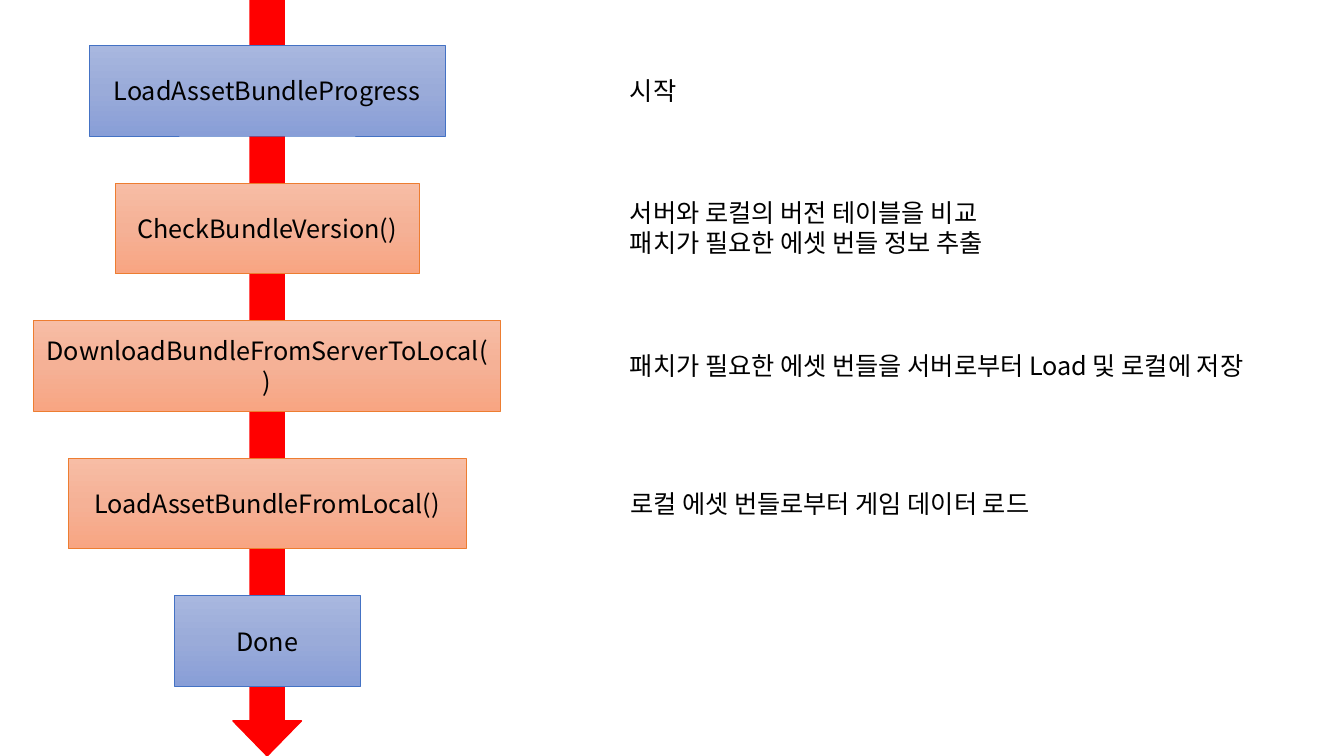
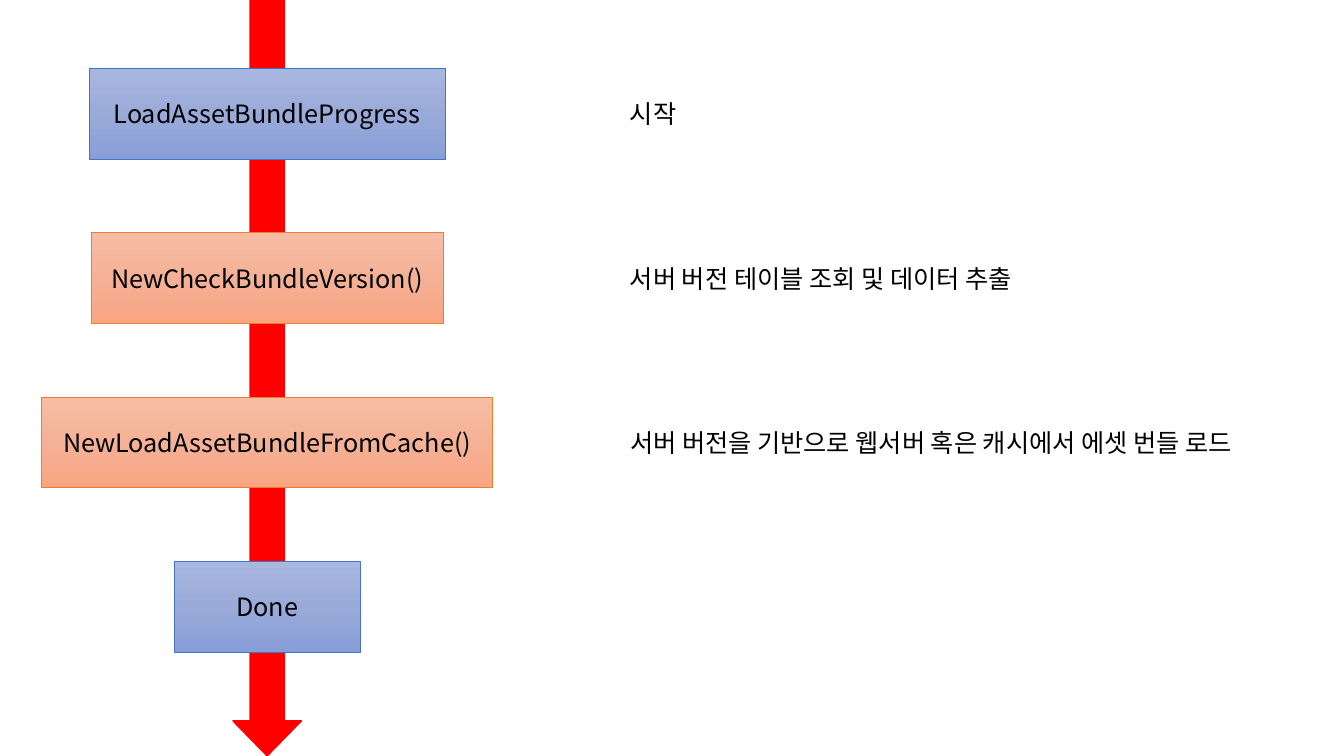
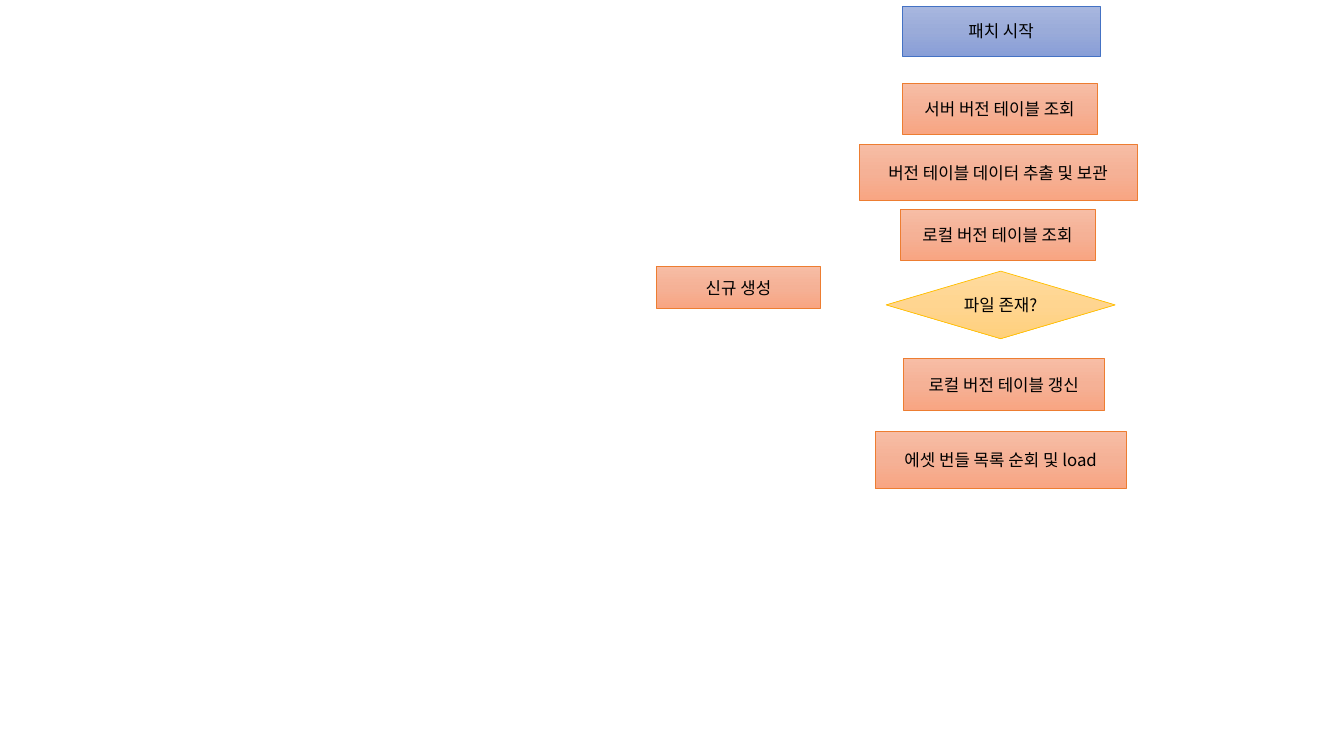
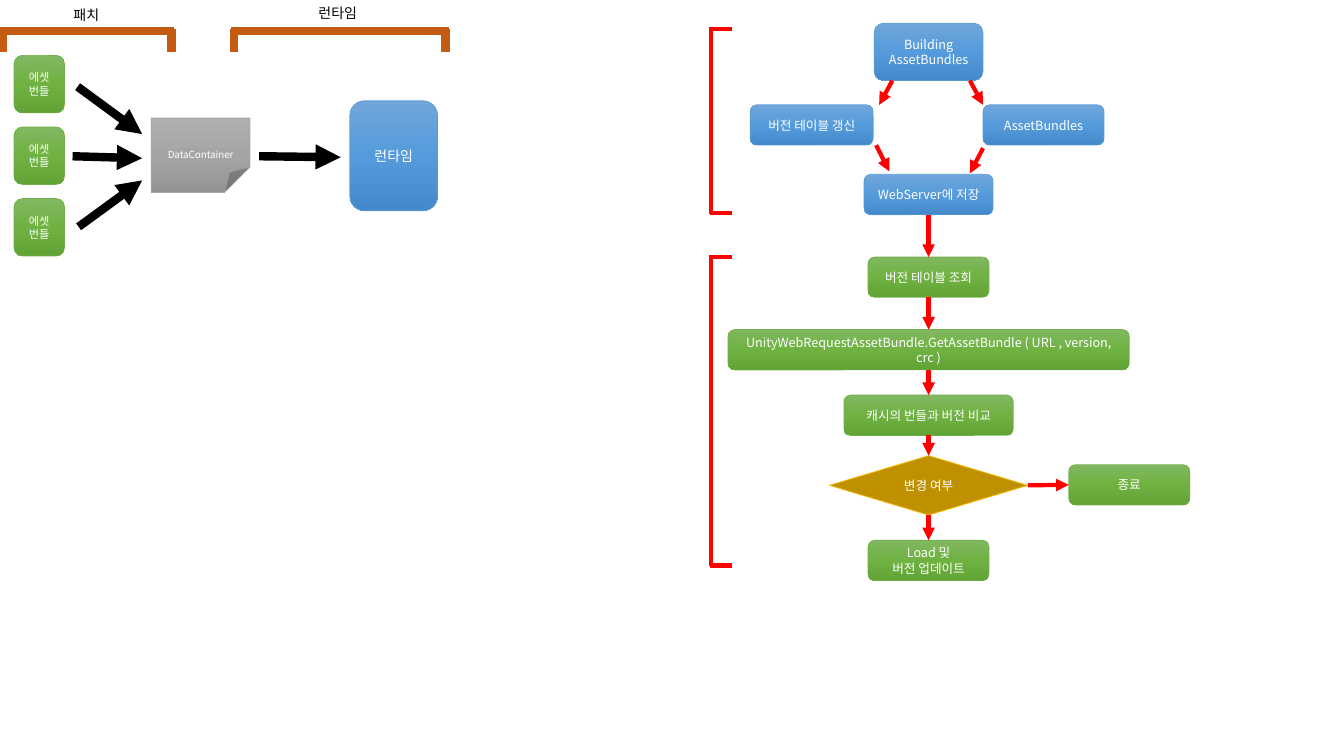
from copy import deepcopy
from lxml.etree import SubElement
from pptx import Presentation
from pptx.dml.color import RGBColor
from pptx.enum.shapes import MSO_CONNECTOR as Link, MSO_SHAPE as Form
from pptx.enum.text import MSO_ANCHOR as Anchor, MSO_AUTO_SIZE as Auto, PP_ALIGN as Align
from pptx.oxml.ns import qn
from pptx.util import Inches, Pt

# Shared look: each style is (fill shades, line colour)
FACE = "Noto Sans CJK KR"
RED, BLACK, WHITE, BROWN = "FF0000", "000000", "FFFFFF", "C55A11"
PALE = (("A8B7DF", "9AABD9", "889ED7"), "4472C4")
PEACH = (("F7BDA5", "F5B196", "F8A582"), "ED7D31")
SAND = (("FFDB9E", "FFD590", "FFD07C"), "FFC000")
GREEN = (("81B861", "6FB242", "62A336"), "70AD47")
BLUE = (("71A6DB", "559BDB", "448ACA"), "5B9BD5")
GRAY = (("AFAFAF", "A5A5A5", "939393"), "A5A5A5")
GOLD = (("BF9000",), "FFC000")
WIDE, HIGH = 13.33, 7.5


def paint(fill, *hues):
    """One colour fills solid; three make a gradient from top to bottom."""
    if len(hues) == 1:
        fill.solid()
        fill.fore_color.rgb = RGBColor.from_string(hues[0])
        return
    fill.gradient()
    fill.gradient_angle = 270
    stops = fill._xPr.find(qn("a:gradFill")).find(qn("a:gsLst"))
    stops.insert(1, deepcopy(stops[0]))
    for n, (stop, hue) in enumerate(zip(fill.gradient_stops, hues)):
        stop.position = n / 2
        stop.color.rgb = RGBColor.from_string(hue)


def put(page, at, text="", form=None, style=None, size=18, color=BLACK, edge=0.5, wrap=True):
    """Add a shape, or a plain text box when no form is given."""
    at = [Inches(v) for v in at]
    if form is None:
        item = page.shapes.add_textbox(*at)
        item.text_frame.auto_size = Auto.SHAPE_TO_FIT_TEXT
    else:
        item = page.shapes.add_shape(form, *at)
        item.shadow.inherit = False
        paint(item.fill, *style[0])
        paint(item.line.fill, style[1])
        item.line.width = Pt(edge)
        item.text_frame.vertical_anchor = Anchor.MIDDLE
    frame = item.text_frame
    frame.word_wrap = wrap
    frame.text = text
    for para in frame.paragraphs:
        para.alignment = Align.CENTER if form else Align.LEFT
        for run in para.runs:
            run.font.size, run.font.name = Pt(size), FACE
            paint(run.font.fill, color)
            SubElement(run._r.get_or_add_rPr(), qn("a:ea"), typeface=FACE)
    return item


deck = Presentation()
deck.slide_width, deck.slide_height = Inches(WIDE), Inches(HIGH)
blank = deck.slide_layouts[6]

# Slides 1 and 2: steps down a red arrow, each with a note beside it
# A flow is (first top, step, rows); a row is (name, width, style, note, note width)
flows = [
    (0.45, 1.365, [
        ("LoadAssetBundleProgress", 3.53, PALE, "시작", 6.23),
        ("CheckBundleVersion()", 3.02, PEACH,
         "서버와 로컬의 버전 테이블을 비교\n패치가 필요한 에셋 번들 정보 추출", 6.23),
        ("DownloadBundleFromServerToLocal()", 4.63, PEACH,
         "패치가 필요한 에셋 번들을 서버로부터 Load 및 로컬에 저장", 7.06),
        ("LoadAssetBundleFromLocal()", 3.95, PEACH,
         "로컬 에셋 번들로부터 게임 데이터 로드", 6.58),
        ("Done", 1.84, PALE, "", 0)]),
    (0.68, 1.63, [
        ("LoadAssetBundleProgress", 3.53, PALE, "시작", 6.23),
        ("NewCheckBundleVersion()", 3.49, PEACH,
         "서버 버전 테이블 조회 및 데이터 추출", 6.23),
        ("NewLoadAssetBundleFromCache()", 4.47, PEACH,
         "서버 버전을 기반으로 웹서버 혹은 캐시에서 에셋 번들 로드", 7.01),
        ("Done", 1.84, PALE, "", 0)]),
]
MID, TALL, NOTE = 2.65, 0.9, 6.15
for first, step, rows in flows:
    page = deck.slides.add_slide(blank)
    arrow = put(page, (MID - 0.34, 0, 0.68, HIGH), form=Form.DOWN_ARROW,
                style=((RED,), RED), edge=1)
    arrow.adjustments[0], arrow.adjustments[1] = 0.5, 0.512
    for n, (name, wide, style, note, span) in enumerate(rows):
        top = first + n * step
        put(page, (MID - wide / 2, top, wide, TALL), name, Form.RECTANGLE, style)
        if note:
            high = 0.4 + 0.31 * note.count("\n")
            put(page, (NOTE, top + (TALL - high) / 2, span, high), note)

# Slide 3: patch steps
page = deck.slides.add_slide(blank)
for text, at, style in [
    ("패치 시작", (8.95, 0.06, 1.96, 0.5), PALE),
    ("서버 버전 테이블 조회", (8.95, 0.83, 1.93, 0.5), PEACH),
    ("버전 테이블 데이터 추출 및 보관", (8.52, 1.43, 2.76, 0.56), PEACH),
    ("로컬 버전 테이블 조회", (8.93, 2.08, 1.93, 0.5), PEACH),
    ("파일 존재?", (8.79, 2.69, 2.27, 0.67), SAND),
    ("신규 생성", (6.51, 2.64, 1.63, 0.42), PEACH),
    ("로컬 버전 테이블 갱신", (8.96, 3.56, 1.99, 0.51), PEACH),
    ("에셋 번들 목록 순회 및 load", (8.68, 4.28, 2.49, 0.57), PEACH),
]:
    form = Form.FLOWCHART_DECISION if style is SAND else Form.RECTANGLE
    put(page, at, text, form, style, size=12)

# Slide 4, left: bundles gathered into a container for the runtime
page = deck.slides.add_slide(blank)
for n in range(3):
    put(page, (0.14, 0.55 + n * 0.71, 0.5, 0.57), "에셋 번들",
        Form.ROUNDED_RECTANGLE, GREEN, size=8, color=WHITE)
store = put(page, (1.5, 1.17, 0.98, 0.74), "DataContainer",
            Form.FOLDED_CORNER, GRAY, size=7, color=WHITE)
fold = store._element.spPr.find(qn("a:prstGeom")).find(qn("a:avLst"))
SubElement(fold, qn("a:gd"), name="adj", fmla="val 34400")
store.text_frame.margin_top = Inches(0.29)
put(page, (3.47, 1, 0.87, 1.09), "런타임", Form.ROUNDED_RECTANGLE, BLUE, size=10, color=WHITE)
put(page, (0.63, 0.02, 0.48, 0.27), "패치", size=10, wrap=False)
put(page, (3.06, 0, 0.62, 0.27), "런타임", size=10, wrap=False)

# Slide 4, right: build and load flow around one axis
AXIS, ROW = 9.21, 0.4
chain = []
for text, mid, top, wide, high, style in [
    ("Building\nAssetBundles", AXIS, 0.23, 1.08, 0.57, BLUE),
    ("버전 테이블 갱신", 8.05, 1.04, 1.22, ROW, BLUE),
    ("AssetBundles", 10.35, 1.04, 1.2, ROW, BLUE),
    ("WebServer에 저장", AXIS, 1.73, 1.28, ROW, BLUE),
    ("버전 테이블 조회", AXIS, 2.55, 1.2, ROW, GREEN),
    ("UnityWebRequestAssetBundle.GetAssetBundle ( URL , version, crc )",
     AXIS, 3.27, 3.98, ROW, GREEN),
    ("캐시의 번들과 버전 비교", AXIS, 3.92, 1.68, ROW, GREEN),
    ("변경 여부", AXIS, 4.52, 1.97, 0.59, GOLD),
    ("Load 및\n버전 업데이트", AXIS, 5.36, 1.2, ROW, GREEN),
    ("종료", 11.2, 4.61, 1.2, ROW, GREEN),
]:
    form = Form.FLOWCHART_DECISION if style is GOLD else Form.ROUNDED_RECTANGLE
    chain.append(put(page, (mid - wide / 2, top, wide, high), text, form, style,
                     size=9, color=WHITE))

# Lines of slide 4: (ends, colour, width, arrowhead, joined shapes with sides)
lines = [(ends, BLACK, 6, True, None) for ends in [
    (0.77, 0.86, 1.41, 1.33), (0.72, 1.55, 1.41, 1.57),
    (0.78, 2.25, 1.41, 1.79), (2.57, 1.55, 3.38, 1.56)]]
for left, right in [(0, 1.73), (2.29, 4.45)]:
    lines += [(ends, BROWN, 6, False, None) for ends in [
        (left, 0.31, right, 0.31),
        (left + 0.03, 0.29, left + 0.03, 0.52),
        (right - 0.03, 0.29, right - 0.03, 0.52)]]
for top, foot in [(0.29, 2.11), (2.55, 5.61)]:
    lines += [(ends, RED, 3, False, None) for ends in [
        (7.05, top - 0.02, 7.05, foot + 0.01),
        (7.04, top, 7.26, top), (7.04, foot, 7.26, foot)]]
lines += [(ends, RED, 3, True, None) for ends in [
    (8.85, 0.8, 8.72, 1.04), (9.62, 0.8, 9.75, 1.04),
    (8.69, 1.44, 8.82, 1.7), (9.75, 1.47, 9.62, 1.72)]]
joins = [(a, 2, b, 0) for a, b in zip(chain[3:8], chain[4:9])]
joins.append((chain[7], 3, chain[9], 1))
lines += [((0, 0, 0, 0), RED, 3, True, join) for join in joins]

for ends, hue, width, head, join in lines:
    link = page.shapes.add_connector(Link.STRAIGHT, *[Inches(v) for v in ends])
    if join:
        link.begin_connect(*join[:2])
        link.end_connect(*join[2:])
    paint(link.line.fill, hue)
    link.line.width = Pt(width)
    props = link._element.spPr
    if head:
        SubElement(props.find(qn("a:ln")), qn("a:tailEnd"), type="triangle")
    SubElement(props, qn("a:effectLst"))

deck.save("out.pptx")
